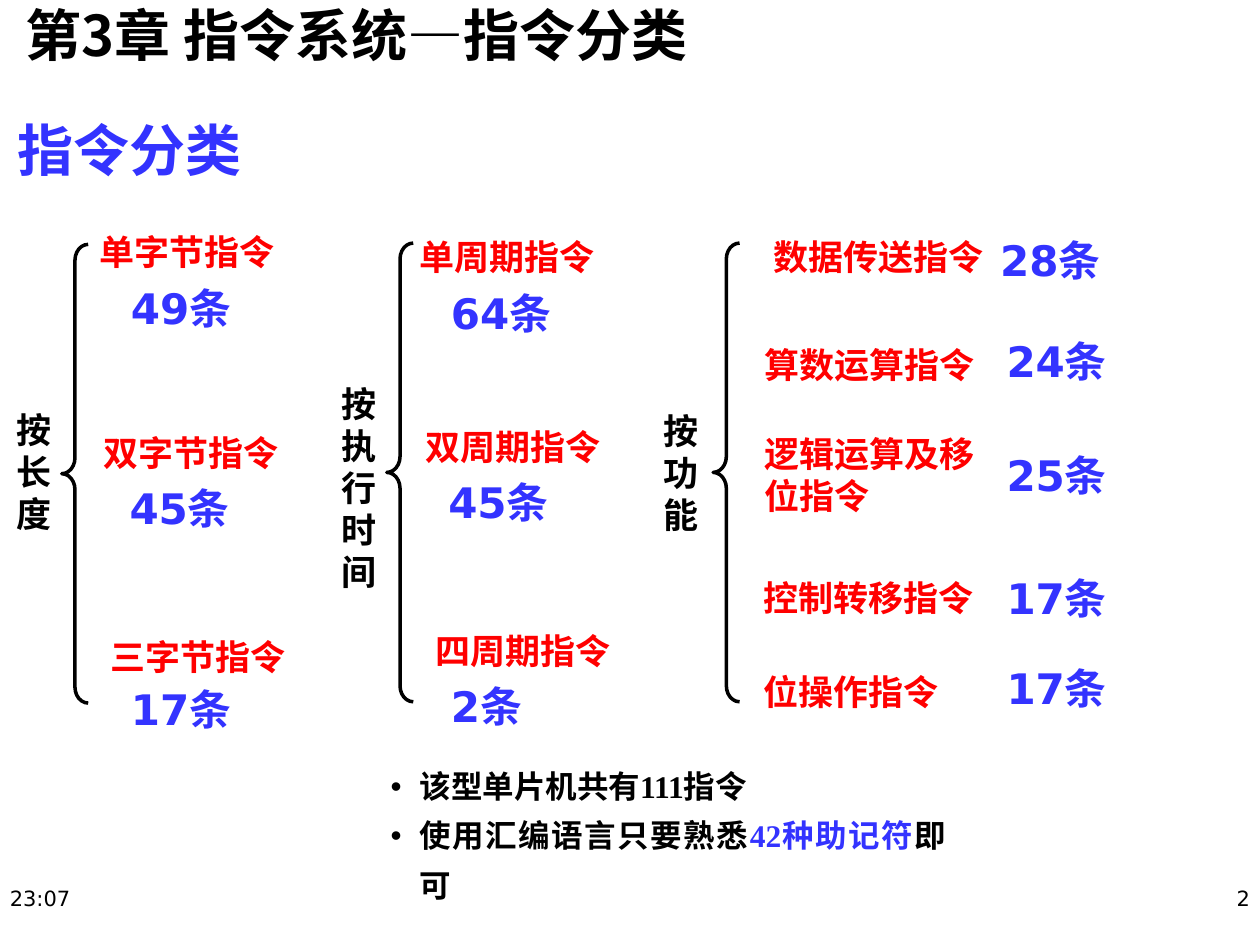
import pptx
import pptx.util
import pptx.dml.color
import pptx.enum.shapes
import pptx.enum.text
import pptx.oxml

Inches, Pt = pptx.util.Inches, pptx.util.Pt
ALIGN, ANCHOR = pptx.enum.text.PP_ALIGN, pptx.enum.text.MSO_ANCHOR
AUTO = pptx.enum.text.MSO_AUTO_SIZE
COLORS = {"black": "000000", "red": "FF0000", "blue": "3333FF"}
SANS, CJK, SERIF = "DejaVu Sans", "Noto Sans CJK SC", "Times New Roman"

prs = pptx.Presentation()
prs.slide_width, prs.slide_height = Inches(10), Inches(7.5)
s = prs.slides.add_slide(prs.slide_layouts[1])


def add_run(p, text, size=20, color="black", font=SANS, bold=True):
    r = p.add_run()
    r.text = text
    r.font.size, r.font.bold = Pt(size), bold
    r.font.color.rgb = pptx.dml.color.RGBColor.from_string(COLORS[color])
    r.font.name = font
    ea = pptx.oxml.parse_xml(
        '<a:ea xmlns:a="http://schemas.openxmlformats.org/drawingml/2006/main" '
        f'typeface="{CJK}"/>')
    r.font._element.append(ea)


def add_text(text, left, top, width, height=0.52, sp=None,
             anchor=ANCHOR.BOTTOM, align=ALIGN.LEFT, **fmt):
    box = [Inches(v) for v in (left, top, width, height)]
    if sp is None:
        sp = s.shapes.add_textbox(*box)
    else:
        sp.left, sp.top, sp.width, sp.height = box
    tf = sp.text_frame
    tf.word_wrap = True
    tf.auto_size = AUTO.NONE
    tf.vertical_anchor = anchor
    p = tf.paragraphs[0]
    p.alignment = align
    add_run(p, text, **fmt)
    return tf


tf = add_text("第3章 指令系统—指令分类", 0, 0, 7.28, 0.78, sp=s.shapes.title,
              anchor=ANCHOR.TOP, size=32, font=CJK)
tf.margin_left = Inches(0.2)
tf.margin_top = tf.margin_right = tf.margin_bottom = 0

add_text("指令分类", 0.04, 0.8, 2.57, 0.7, size=32, color="blue")

groups = [
    ("按长度", 0.03, 3.24, 1.05, 0.49, 1.94, [
        ("单字节指令", 0.69, 1.69, "49条", 0.94, 2.17),
        ("双字节指令", 0.72, 3.29, "45条", 0.93, 3.76),
        ("三字节指令", 0.78, 4.91, "17条", 0.94, 5.35)]),
    ("按执行时间", 2.61, 2.99, 1.76, 3.07, 1.93, [
        ("单周期指令", 3.23, 1.73, "64条", 3.48, 2.21),
        ("双周期指令", 3.28, 3.24, "45条", 3.46, 3.71),
        ("四周期指令", 3.36, 4.86, "2条", 3.48, 5.33)]),
    ("按功能", 5.17, 3.26, 1.04, 5.66, 1.93, [
        ("数据传送指令", 6.04, 1.73, "28条", 7.84, 1.79),
        ("算数运算指令", 5.97, 2.59, "24条", 7.89, 2.59),
        ("逻辑运算及移位指令", 5.97, 3.63, "25条", 7.89, 3.5),
        ("控制转移指令", 5.96, 4.44, "17条", 7.89, 4.47),
        ("位操作指令", 5.96, 5.18, "17条", 7.89, 5.19)]),
]
for basis, left, top, height, brace_left, brace_top, items in groups:
    add_text(basis, left, top, 0.44, height, font=CJK)
    brace = s.shapes.add_shape(
        pptx.enum.shapes.MSO_SHAPE.LEFT_BRACE, Inches(brace_left),
        Inches(brace_top), Inches(0.21), Inches(3.64))
    brace.adjustments[0], brace.adjustments[1] = 0.6, 0.5
    brace.shadow.inherit = False
    brace.fill.background()
    brace.line.width = Pt(2)
    brace.line.color.rgb = pptx.dml.color.RGBColor.from_string(COLORS["black"])
    for name, x, y, count, count_x, count_y in items:
        add_text(name, x, y, 1.88, color="red")
        add_text(count, count_x, count_y, 1.1, size=24, color="blue")

tf = add_text("该型单片机共有111指令", 3, 5.95, 4.61, 0.85,
              sp=s.placeholders[1], anchor=ANCHOR.TOP, size=18, font=SERIF)
tf.auto_size = AUTO.SHAPE_TO_FIT_TEXT
p = tf.add_paragraph()
for text, color in [("使用汇编语言只要熟悉", "black"), ("42种助记符", "blue"),
                    ("即可", "black")]:
    add_run(p, text, size=18, color=color, font=SERIF)
for p in tf.paragraphs:
    p.alignment = ALIGN.JUSTIFY
    p.line_spacing, p.space_before = 1.3, Pt(0)
    pPr = p._p.get_or_add_pPr()
    pPr.set("marL", str(Inches(0.23)))
    pPr.set("indent", str(Inches(-0.23)))

for text, left, align in [("23:07", -0.02, ALIGN.LEFT), ("2", 7.85, ALIGN.RIGHT)]:
    add_text(text, left, 6.98, 2.17, anchor=ANCHOR.TOP, align=align,
             size=12, bold=False)

prs.save("out.pptx")
